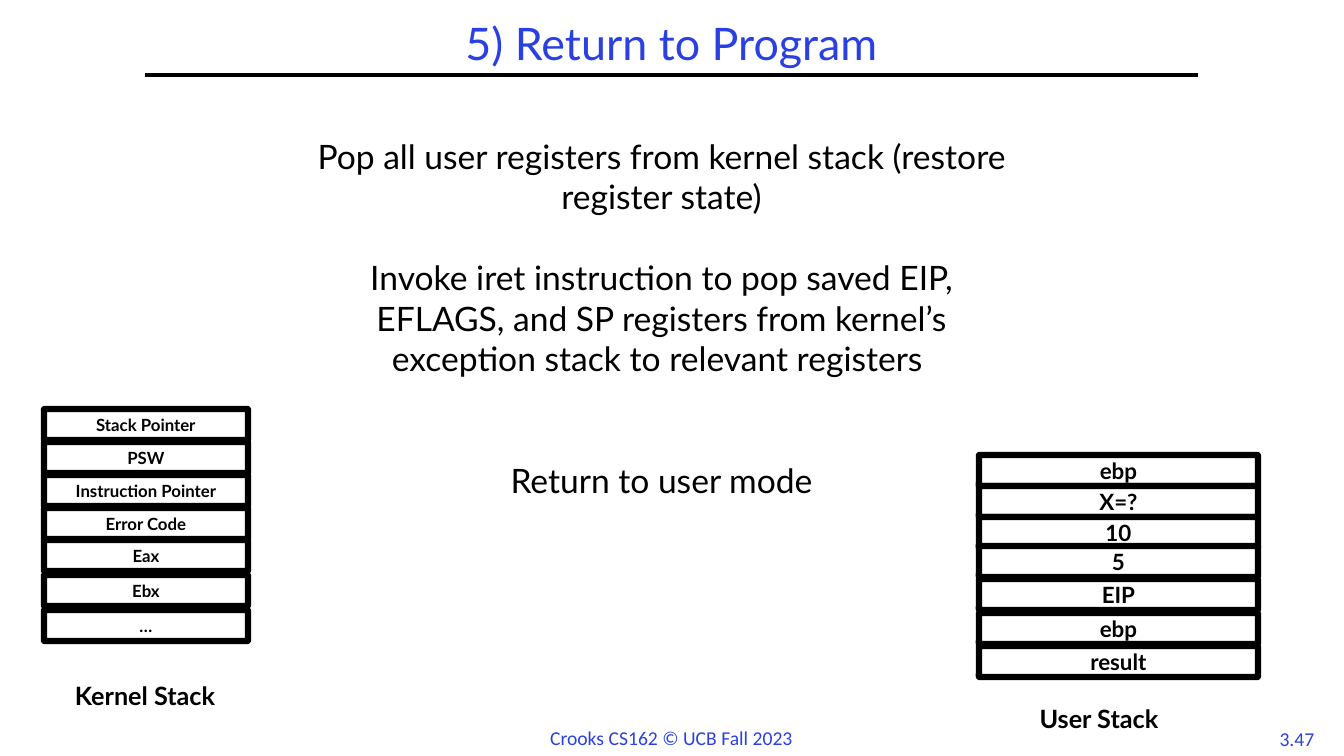
import pptx
import pptx.dml.color
import pptx.enum.shapes
import pptx.enum.text
import pptx.oxml
import pptx.oxml.ns
import pptx.util

ALIGN = pptx.enum.text.PP_ALIGN
ANCHOR = pptx.enum.text.MSO_ANCHOR
BLACK, WHITE, BLUE = "000000", "FFFFFF", "2A40E2"


def px(count):
    return pptx.util.Emu(round(count * 914400 / 100.8))


def color(value):
    return pptx.dml.color.RGBColor.from_string(value)


class SlideBuilder:
    font_name = "Lato"

    def __init__(self, slide):
        self.slide = slide

    def set_text(self, shape, texts, size, ink=BLACK, bold=False, font=None,
                 anchor=ANCHOR.TOP, wrap=True, **paragraph_format):
        frame = shape.text_frame
        frame.word_wrap = wrap
        frame.auto_size = pptx.enum.text.MSO_AUTO_SIZE.NONE
        frame.vertical_anchor = anchor
        frame.text = "\n".join(texts)
        paragraph_format = {"alignment": ALIGN.CENTER, **paragraph_format}
        run_format = {"name": font or self.font_name, "bold": bold,
                      "size": pptx.util.Pt(size)}
        for paragraph in frame.paragraphs:
            for name, value in paragraph_format.items():
                setattr(paragraph, name, value)
            for run in paragraph.runs:
                for name, value in run_format.items():
                    setattr(run.font, name, value)
                run.font.color.rgb = color(ink)
        return frame

    def place(self, shape, left, top, width, height):
        box = {"left": left, "top": top, "width": width, "height": height}
        for name, value in box.items():
            setattr(shape, name, px(value))

    def title(self, text, box):
        shape = self.slide.shapes.title
        self.place(shape, *box)
        self.set_text(shape, [text], 32, BLUE, anchor=ANCHOR.MIDDLE, line_spacing=0.9)

    def body(self, texts, gaps, box):
        shape = self.slide.placeholders[1]
        self.place(shape, *box)
        frame = self.set_text(shape, texts, 24)
        for paragraph, gap in zip(frame.paragraphs, gaps):
            paragraph.space_before = pptx.util.Pt(gap)
            properties = paragraph._p.get_or_add_pPr()
            properties.set("marL", "0")
            properties.set("indent", "0")
            properties.append(pptx.oxml.parse_xml(
                f"<a:buNone {pptx.oxml.ns.nsdecls('a')}/>"))

    def label(self, text, box, size, **style):
        shape = self.slide.shapes.add_textbox(*map(px, box))
        self.set_text(shape, [text], size, **style)

    def rule(self, left, right, y):
        line = self.slide.shapes.add_connector(
            pptx.enum.shapes.MSO_CONNECTOR.STRAIGHT,
            px(left), px(y), px(right), px(y))
        line.line.color.rgb = color(BLACK)
        line.line.width = pptx.util.Pt(3)
        line._element.spPr.append(pptx.oxml.parse_xml(
            f"<a:effectLst {pptx.oxml.ns.nsdecls('a')}/>"))

    def stack(self, cells, left, width, size):
        for text, top in cells:
            shape = self.slide.shapes.add_shape(
                pptx.enum.shapes.MSO_SHAPE.ROUNDED_RECTANGLE,
                px(left), px(top), px(width), px(31))
            shape.adjustments[0] = 0.02
            shape.shadow.inherit = False
            shape.fill.solid()
            shape.fill.fore_color.rgb = color(WHITE)
            shape.line.color.rgb = color(BLACK)
            shape.line.width = pptx.util.Pt(4.5)
            self.set_text(shape, [text], size, bold=True, anchor=ANCHOR.MIDDLE)


def main():
    presentation = pptx.Presentation()
    presentation.slide_width, presentation.slide_height = px(1344), px(756)
    builder = SlideBuilder(presentation.slides.add_slide(presentation.slide_layouts[1]))

    # Footer and heading
    builder.label("3.47", (1268, 722, 58, 33), 14, ink=BLUE, font="Calibri", wrap=False)
    builder.rule(145, 1198, 75)
    builder.label("Crooks CS162 © UCB Fall 2023", (539, 721, 265, 34), 14,
                  ink=BLUE, font="Calibri", wrap=False)
    builder.title("5) Return to Program", (145, 17, 1053, 58))

    # Steps
    builder.body([
        "Pop all user registers from kernel stack (restore register state)",
        "Invoke iret instruction to pop saved EIP, EFLAGS, and SP registers "
        "from kernel’s exception stack to relevant registers ",
        "Return to user mode",
    ], (0, 29, 58), (298, 131, 727, 417))

    # Kernel stack
    builder.stack([("Stack Pointer", 409), ("PSW", 442), ("Instruction Pointer", 475),
                   ("Error Code", 508), ("Eax", 540), ("Ebx", 575), ("…", 610)],
                  left=44, width=204, size=12)
    builder.label("Kernel Stack", (0, 675, 290, 40), 18, bold=True)

    # User stack
    builder.stack([("ebp", 455), ("X=?", 486), ("10", 517), ("5", 546),
                   ("EIP", 579), ("ebp", 613), ("result", 646)],
                  left=979, width=279, size=16)
    builder.label("User Stack", (954, 698, 290, 40), 18, bold=True)

    presentation.save("out.pptx")


if __name__ == "__main__":
    main()
